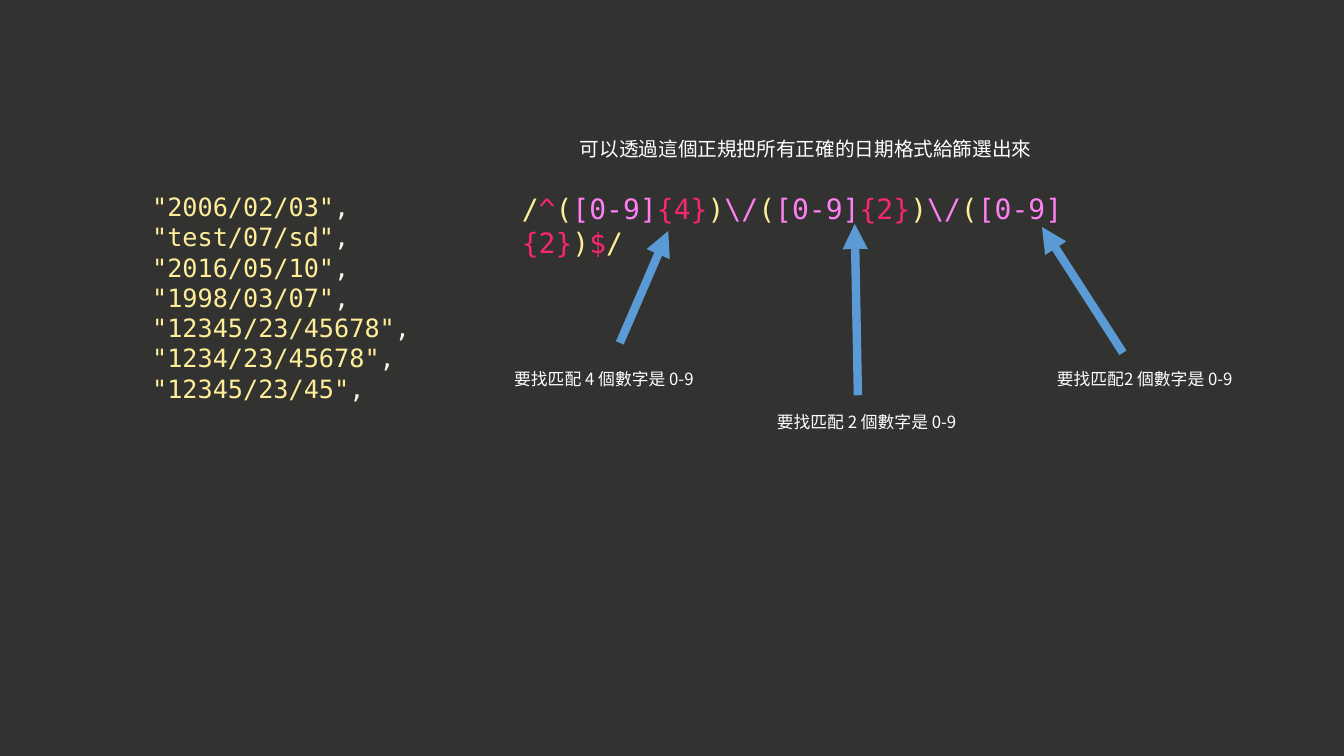
"""Build the slide that explains a date regular expression."""
import pptx
import pptx.dml.color
import pptx.enum.shapes
import pptx.enum.text
import pptx.oxml.ns
import pptx.util
from lxml import etree

Cm, Pt = pptx.util.Cm, pptx.util.Pt
ALIGN = pptx.enum.text.PP_ALIGN
MONO, SANS = "DejaVu Sans Mono", "Noto Sans CJK SC"
WHITE, CREAM, PALE, RED, PINK, BLUE = "FFFFFF", "FFEE99", "F8F8F2", "F92672", "FF80F4", "5B9BD5"


def paint(target, code):
    target.rgb = pptx.dml.color.RGBColor.from_string(code)


def add(parent, tag, **values):
    return etree.SubElement(parent, pptx.oxml.ns.qn(tag), **values)


def apply(target, values):
    for name, value in values.items():
        setattr(target, name, value)


class Deck:
    frame = {"word_wrap": True,
             "auto_size": pptx.enum.text.MSO_AUTO_SIZE.SHAPE_TO_FIT_TEXT,
             "vertical_anchor": pptx.enum.text.MSO_ANCHOR.TOP}

    def __init__(self, show, ground):
        self.slide = show.slides.add_slide(show.slide_layouts[1])
        fill = self.slide.background.fill
        fill.solid()
        paint(fill.fore_color, ground)

    def text(self, shape, lines, font, size, align=ALIGN.LEFT):
        frame = shape.text_frame
        apply(frame, self.frame)
        for row, runs in enumerate(lines):
            para = frame.add_paragraph() if row else frame.paragraphs[0]
            apply(para, {"alignment": align, "space_before": Pt(0)})
            for words, code in runs:
                run = para.add_run()
                run.text = words
                apply(run.font, {"size": Pt(size), "name": font})
                paint(run.font.color, code)
                add(run._r.get_or_add_rPr(), "a:ea", typeface=font)

    def holder(self, index, box, *style):
        shape = self.slide.placeholders[index]
        apply(shape, dict(zip(("left", "top", "width", "height"), map(Cm, box))))
        self.text(shape, *style)
        return shape

    def title(self, box, words):
        self.holder(0, box, [[(words, WHITE)]], SANS, 14, ALIGN.CENTER)

    def list(self, box, lines):
        shape = self.holder(1, box, lines, MONO, 18)
        for para in shape.text_frame.paragraphs:
            props = para._p.get_or_add_pPr()
            props.set("marL", "0")
            props.set("indent", "0")
            add(props, "a:buNone")

    def label(self, box, *style):
        self.text(self.slide.shapes.add_textbox(*map(Cm, box)), *style)

    def arrow(self, ends):
        kind = pptx.enum.shapes.MSO_CONNECTOR.STRAIGHT
        link = self.slide.shapes.add_connector(kind, *map(Cm, ends))
        link.line.width = Pt(6)
        paint(link.line.color, BLUE)
        props = link._element.spPr
        add(props.find(pptx.oxml.ns.qn("a:ln")), "a:tailEnd", type="triangle")
        add(props, "a:effectLst")


def main():
    show = pptx.Presentation()
    apply(show, {"slide_width": Cm(33.87), "slide_height": Cm(19.05)})
    deck = Deck(show, "323230")
    deck.title((13.11, 3.33, 14.4, 0.86), "可以透過這個正規把所有正確的日期格式給篩選出來")

    dates = ["2006/02/03", "test/07/sd", "2016/05/10", "1998/03/07",
             "12345/23/45678", "1234/23/45678", "12345/23/45"]
    deck.list((3.58, 4.7, 7.95, 5.64),
              [[(f'"{date}"', CREAM), (",", PALE)] for date in dates])

    regex = [("/", CREAM), ("^", RED)]
    for count, end in (("{4}", "\\/"), ("{2}", "\\/"), ("{2}", "")):
        regex += [("(", CREAM), ("[0-9]", PINK), (count, RED), (")", CREAM)]
        if end:
            regex.append((end, PINK))
    regex += [("$", RED), ("/", CREAM)]
    deck.label((12.9, 4.7, 15.39, 1.12), [regex], MONO, 20)

    notes = [
        ("要找匹配 4 個數字是 0-9", (12.45, 9.17, 5.54, 0.76), (15.62, 8.64, 16.84, 5.82)),
        ("要找匹配 2 個數字是 0-9", (18.87, 10.24, 5.94, 0.76), (21.62, 9.96, 21.54, 5.64)),
        ("要找匹配2 個數字是 0-9", (25.88, 9.17, 5.94, 0.76), (28.3, 8.89, 26.26, 5.72)),
    ]
    for words, box, ends in notes:
        deck.label(box, [[(words, WHITE)]], SANS, 12, ALIGN.CENTER)
        deck.arrow(ends)
    show.save("out.pptx")


if __name__ == "__main__":
    main()
